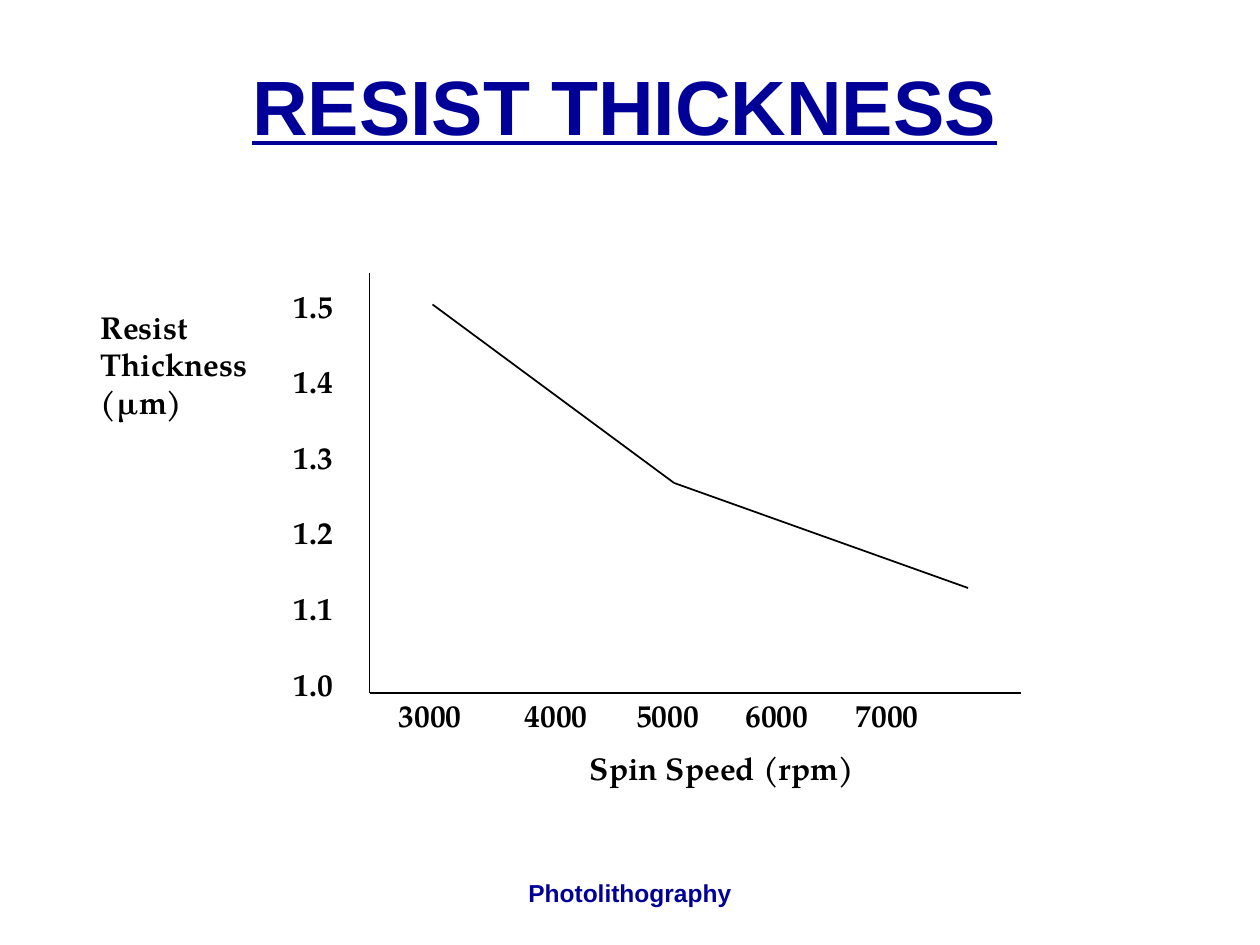
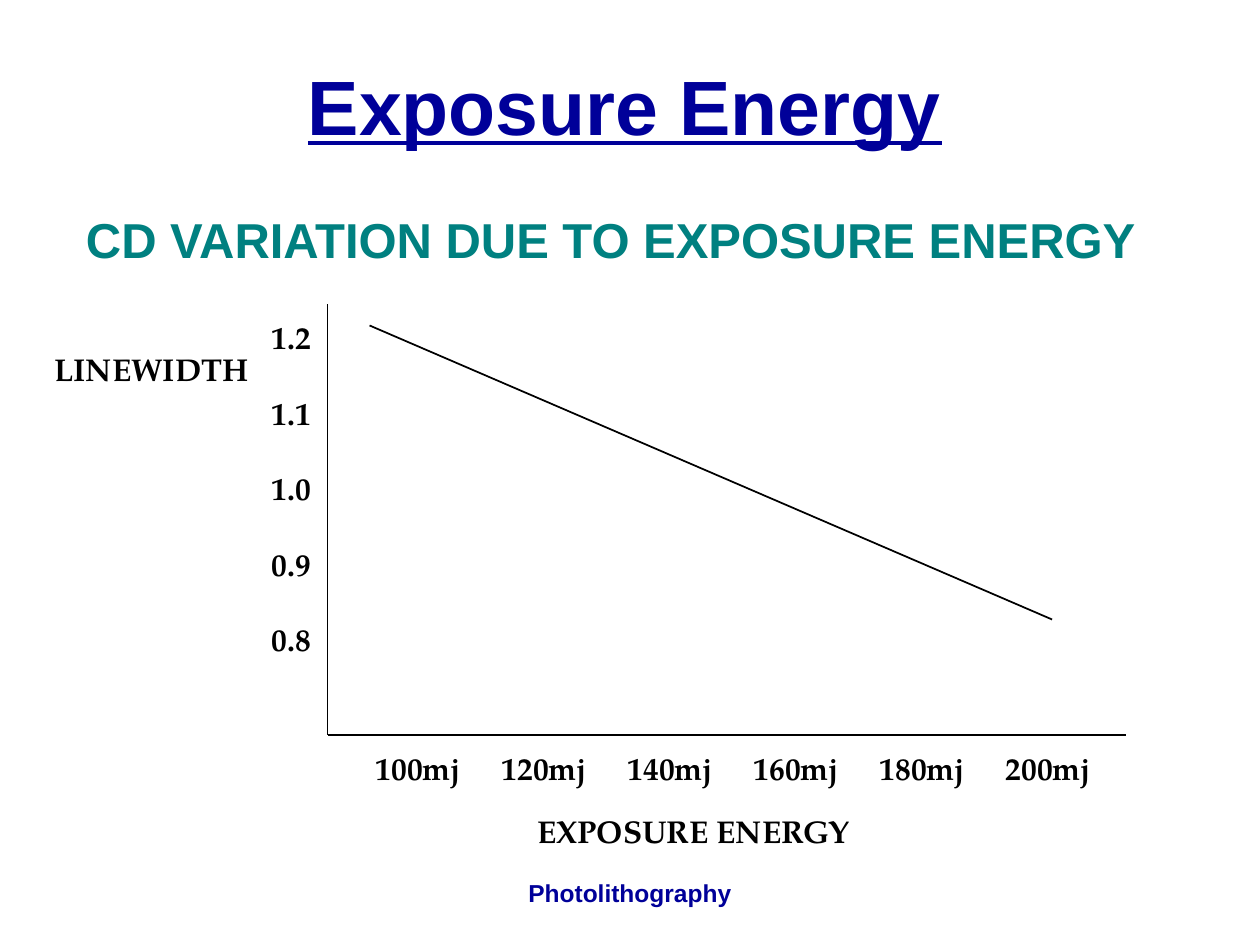
from dataclasses import dataclass
from itertools import pairwise

from lxml.etree import SubElement
from pptx import Presentation
from pptx.dml.color import RGBColor
from pptx.enum.shapes import MSO_CONNECTOR as Connector
from pptx.enum.text import MSO_ANCHOR as Anchor, MSO_AUTO_SIZE as AutoSize, PP_ALIGN as Align
from pptx.oxml.ns import qn
from pptx.slide import Slide
from pptx.text.text import TextFrame
from pptx.util import Emu, Inches, Pt

# The slide is a grid of 120 columns by 90 rows, each cell 1/12 inch square
COLUMNS, ROWS = 120, 90
CELL = Inches(10) // COLUMNS
TITLE_ONLY = 5


def cells(count: float) -> Emu:
    return Emu(round(count * CELL))


@dataclass(frozen=True)
class TextStyle:
    font: str
    size: float
    color: RGBColor
    align: Align = Align.LEFT
    anchor: Anchor = Anchor.TOP
    underline: bool = False
    line_spacing: float = 1.0
    gap: float = 0  # points before every paragraph but the first


@dataclass(frozen=True)
class Theme:
    navy = RGBColor(0x00, 0x00, 0x99)
    teal = RGBColor(0x00, 0x80, 0x80)
    black = RGBColor(0, 0, 0)
    line_width = 1
    title = TextStyle("Arial", 44, navy, Align.CENTER, Anchor.MIDDLE, True, 0.9)
    subtitle = TextStyle("Arial", 28, teal, line_spacing=0.9)
    footer = TextStyle("Arial", 14, navy, Align.CENTER, Anchor.MIDDLE)
    label = TextStyle("TeX Gyre Pagella", 18, black)
    value_scale = TextStyle("TeX Gyre Pagella", 18, black, gap=21.6)


THEME = Theme()


@dataclass(frozen=True)
class Box:
    left: float
    top: float
    width: float
    height: float = 4.8


@dataclass(frozen=True)
class Label:
    text: str
    box: Box


@dataclass(frozen=True)
class Point:
    column: float
    row: float


@dataclass(frozen=True)
class Scale:
    values: list[str]
    box: Box
    stops: tuple[float, ...] = ()  # tab stops in columns


@dataclass(frozen=True)
class Plot:
    title: str
    axes: list[Point]
    curve: list[Point]
    names: list[Label]
    value_scale: Scale
    category_scale: Scale
    subtitle: str = ""


TITLE_BOX = Box(6, 3, 107, 15)
SUBTITLE_BOX = Box(7, 20, 105, 12)
FOOTER = Label("Photolithography", Box(41, 82, 38, 6))

PLOTS = [
    Plot(
        title="RESIST THICKNESS",
        axes=[Point(35.2, 26), Point(35.2, 66), Point(97.2, 66)],
        curve=[Point(41.2, 29), Point(64.2, 46), Point(92.2, 56)],
        names=[
            Label("Spin Speed (rpm)", Box(55, 70.7, 28.7)),
            Label("Resist\nThickness\n(µm)", Box(8.4, 28.7, 18.4, 12)),
        ],
        value_scale=Scale([f"{1.5 - step / 10:.1f}" for step in range(6)],
                          Box(26.8, 26.7, 6.7, 40.8)),
        category_scale=Scale([str(speed) for speed in range(3000, 8000, 1000)],
                             Box(36.8, 65.7, 56.3), (12, 22.6, 33, 43.5)),
    ),
    Plot(
        title="Exposure Energy",
        subtitle="CD VARIATION DUE TO EXPOSURE ENERGY",
        axes=[Point(31.2, 29), Point(31.2, 70), Point(107.2, 70)],
        curve=[Point(35.2, 31), Point(100.2, 59)],
        names=[
            Label("EXPOSURE ENERGY", Box(50, 76.7, 32.5)),
            Label("LINEWIDTH", Box(4, 32.7, 21)),
        ],
        value_scale=Scale([f"{1.2 - step / 10:.1f}" for step in range(5)],
                          Box(24.7, 29.7, 6.7, 33.6)),
        category_scale=Scale([f"{energy}mj" for energy in range(100, 201, 20)],
                             Box(34.6, 70.7, 71.4), tuple(range(12, 61, 12))),
    ),
]


def write_text(frame: TextFrame, text: str, style: TextStyle, wrap: bool,
               stops: tuple[float, ...] = ()) -> None:
    frame.text = text
    frame.word_wrap = wrap
    frame.auto_size = AutoSize.NONE
    frame.vertical_anchor = style.anchor
    for index, paragraph in enumerate(frame.paragraphs):
        paragraph.alignment = style.align
        paragraph.line_spacing = style.line_spacing
        paragraph.space_before = Pt(style.gap if index else 0)
        if stops:
            tab_list = SubElement(paragraph._p.get_or_add_pPr(), qn("a:tabLst"))
            for stop in stops:
                SubElement(tab_list, qn("a:tab"), pos=str(cells(stop)), algn="l")
        font = paragraph.font
        font.name, font.size, font.bold = style.font, Pt(style.size), True
        font.underline = style.underline
        font.color.rgb = style.color


def add_text(slide: Slide, text: str, box: Box, style: TextStyle, wrap: bool = False,
             stops: tuple[float, ...] = ()) -> None:
    shape = slide.shapes.add_textbox(cells(box.left), cells(box.top),
                                     cells(box.width), cells(box.height))
    write_text(shape.text_frame, text, style, wrap, stops)


def add_title(slide: Slide, text: str) -> None:
    title = slide.shapes.title
    title.left, title.top = cells(TITLE_BOX.left), cells(TITLE_BOX.top)
    title.width, title.height = cells(TITLE_BOX.width), cells(TITLE_BOX.height)
    write_text(title.text_frame, text, THEME.title, wrap=True)


def add_lines(slide: Slide, points: list[Point]) -> None:
    for start, end in pairwise(points):
        line = slide.shapes.add_connector(Connector.STRAIGHT, cells(start.column), cells(start.row),
                                          cells(end.column), cells(end.row))
        line.line.color.rgb = THEME.black
        line.line.width = Pt(THEME.line_width)
        SubElement(line._element.spPr, qn("a:effectLst"))


def add_plot_slide(presentation: Presentation, plot: Plot) -> None:
    slide = presentation.slides.add_slide(presentation.slide_layouts[TITLE_ONLY])

    # Title, subtitle and footer
    add_text(slide, FOOTER.text, FOOTER.box, THEME.footer)
    add_title(slide, plot.title)
    if plot.subtitle:
        add_text(slide, plot.subtitle, SUBTITLE_BOX, THEME.subtitle, wrap=True)

    # Axes and curve
    add_lines(slide, plot.axes)
    add_lines(slide, plot.curve)

    # Axis names and scales
    for name in plot.names:
        add_text(slide, name.text, name.box, THEME.label)
    values, categories = plot.value_scale, plot.category_scale
    add_text(slide, "\n".join(values.values), values.box, THEME.value_scale)
    add_text(slide, "\t".join(categories.values), categories.box, THEME.label,
             stops=categories.stops)


def main() -> None:
    presentation = Presentation()
    presentation.slide_width, presentation.slide_height = cells(COLUMNS), cells(ROWS)
    for plot in PLOTS:
        add_plot_slide(presentation, plot)
    presentation.save("out.pptx")


if __name__ == "__main__":
    main()
